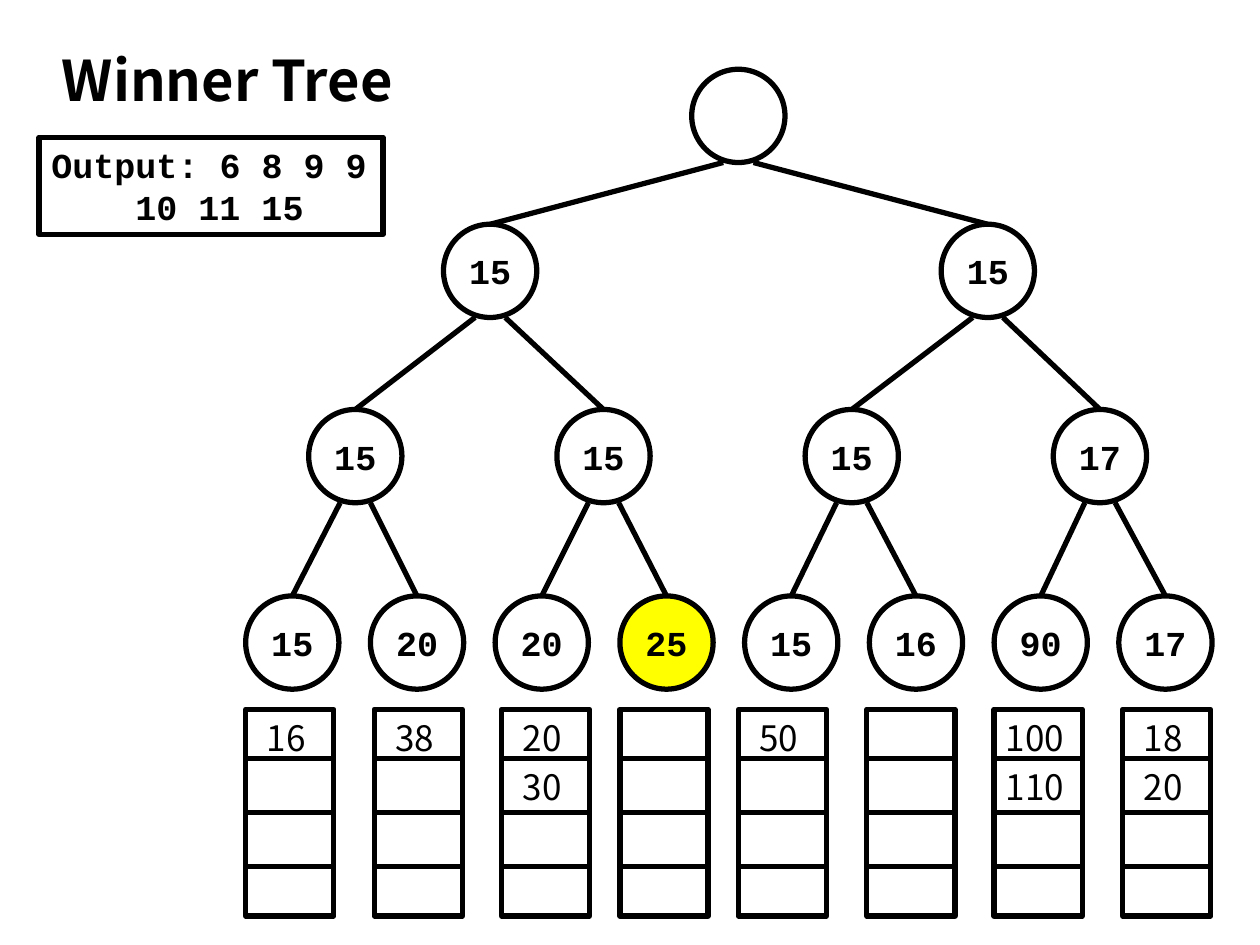
from lxml import etree
from pptx import Presentation
from pptx.dml.color import RGBColor
from pptx.enum.shapes import MSO_CONNECTOR, MSO_SHAPE
from pptx.enum.text import MSO_ANCHOR, PP_ALIGN
from pptx.oxml.ns import qn
from pptx.util import Inches, Pt

OVAL, RECTANGLE = MSO_SHAPE.OVAL, MSO_SHAPE.RECTANGLE
STRAIGHT = MSO_CONNECTOR.STRAIGHT
MIDDLE = MSO_ANCHOR.MIDDLE
LEFT, CENTER = PP_ALIGN.LEFT, PP_ALIGN.CENTER

COLORS = {"ink": "000000", "highlight": "FFFF00"}
SANS, MONO = "Noto Sans CJK KR", "Courier New"
LINE_WIDTH = Pt(3)
TITLE_ONLY = 5

NODE_SIZE = 0.74
EDGE_OFFSET = 0.12  # from the parent's centre line to where an edge starts
# Each level: top, first centre, distance between centres, labels
LEVELS = [
    (0.55, 5.86, 0, [""]),
    (1.78, 3.89, 3.95, ["15", "15"]),
    (3.25, 2.82, 1.97, ["15", "15", "15", "17"]),
    (4.73, 2.32, 0.99, ["15", "20", "20", "25", "15", "16", "90", "17"]),
]
HIGHLIGHTED = "25"

# Each run: left edge and the values still waiting in it
RUNS = [
    (1.95, ["16"]), (2.97, ["38"]), (3.98, ["20", "30"]), (4.92, []),
    (5.86, ["50"]), (6.88, []), (7.89, ["100", "110"]), (8.91, ["18", "20"]),
]
RUN_TOP, RUN_WIDTH, RUN_HEIGHT = 5.63, 0.7, 1.64
ROW_LINES = [0.39, 0.82, 1.25]  # below the top of the run


def color(name):
    return RGBColor.from_string(COLORS[name])


def write(frame, lines, font_name, size, bold=False, align=LEFT):
    frame.word_wrap = True
    frame.vertical_anchor = MIDDLE
    for index, line in enumerate(lines):
        para = frame.paragraphs[0] if index == 0 else frame.add_paragraph()
        para.text = line
        para.alignment = align
        para.font.name = font_name
        para.font.size = Pt(size)
        para.font.bold = bold
        para.font.color.rgb = color("ink")


def add_outline(page, kind, left, top, width, height, fill=None):
    shape = page.shapes.add_shape(
        kind, Inches(left), Inches(top), Inches(width), Inches(height))
    shape.shadow.inherit = False
    if fill:
        shape.fill.solid()
        shape.fill.fore_color.rgb = color(fill)
    else:
        shape.fill.background()
    shape.line.color.rgb = color("ink")
    shape.line.width = LINE_WIDTH
    return shape


def add_line(page, x1, y1, x2, y2):
    line = page.shapes.add_connector(
        STRAIGHT, Inches(x1), Inches(y1), Inches(x2), Inches(y2))
    line.line.color.rgb = color("ink")
    line.line.width = LINE_WIDTH
    etree.SubElement(line._element.spPr, qn("a:effectLst"))


def add_title(page, left, top, width, height):
    title = page.shapes.title
    title.left, title.top = Inches(left), Inches(top)
    title.width, title.height = Inches(width), Inches(height)
    write(title.text_frame, ["Winner Tree"], SANS, 32, bold=True)


def add_output(page, left, top, width, height):
    box = add_outline(page, RECTANGLE, left, top, width, height)
    frame = box.text_frame
    frame.margin_right = 0
    write(frame, ["Output: 6 8 9 9", "10 11 15"], MONO, 20, bold=True)
    # The second line starts four characters in
    frame.paragraphs[1]._p.get_or_add_pPr().set("marL", str(Pt(48)))


def add_node(page, center, top, label):
    fill = "highlight" if label == HIGHLIGHTED else None
    node = add_outline(page, OVAL, center - NODE_SIZE / 2, top,
                       NODE_SIZE, NODE_SIZE, fill)
    if label:
        frame = node.text_frame
        frame.margin_left = frame.margin_right = 0
        write(frame, [label], MONO, 20, bold=True, align=CENTER)


def add_tree(page, levels):
    for depth, (top, first, step, labels) in enumerate(levels):
        for index, label in enumerate(labels):
            center = first + index * step
            add_node(page, center, top, label)
            if depth == 0:
                continue
            # Edge up to the parent
            parent_top, parent_first, parent_step, _ = levels[depth - 1]
            parent = parent_first + index // 2 * parent_step
            side = EDGE_OFFSET if index % 2 else -EDGE_OFFSET
            add_line(page, center, top,
                     parent + side, parent_top + NODE_SIZE)


def add_run(page, left, top, width, height, values):
    add_outline(page, RECTANGLE, left, top, width, height)
    for offset in ROW_LINES:
        add_line(page, left, top + offset, left + width, top + offset)
    for value, offset in zip(values, [0] + ROW_LINES):
        text_width = 0.56 if len(value) < 3 else 0.71
        box = page.shapes.add_textbox(
            Inches(left + (width - text_width) / 2), Inches(top + offset),
            Inches(text_width), Inches(0.44))
        write(box.text_frame, [value], SANS, 20)


def main():
    deck = Presentation()
    deck.slide_width, deck.slide_height = Inches(10), Inches(7.5)
    page = deck.slides.add_slide(deck.slide_layouts[TITLE_ONLY])
    add_title(page, 0.39, 0.31, 3.36, 0.64)
    add_output(page, 0.31, 1.09, 2.73, 0.77)
    add_tree(page, LEVELS)
    for left, values in RUNS:
        add_run(page, left, RUN_TOP, RUN_WIDTH, RUN_HEIGHT, values)
    deck.save("out.pptx")


if __name__ == "__main__":
    main()
